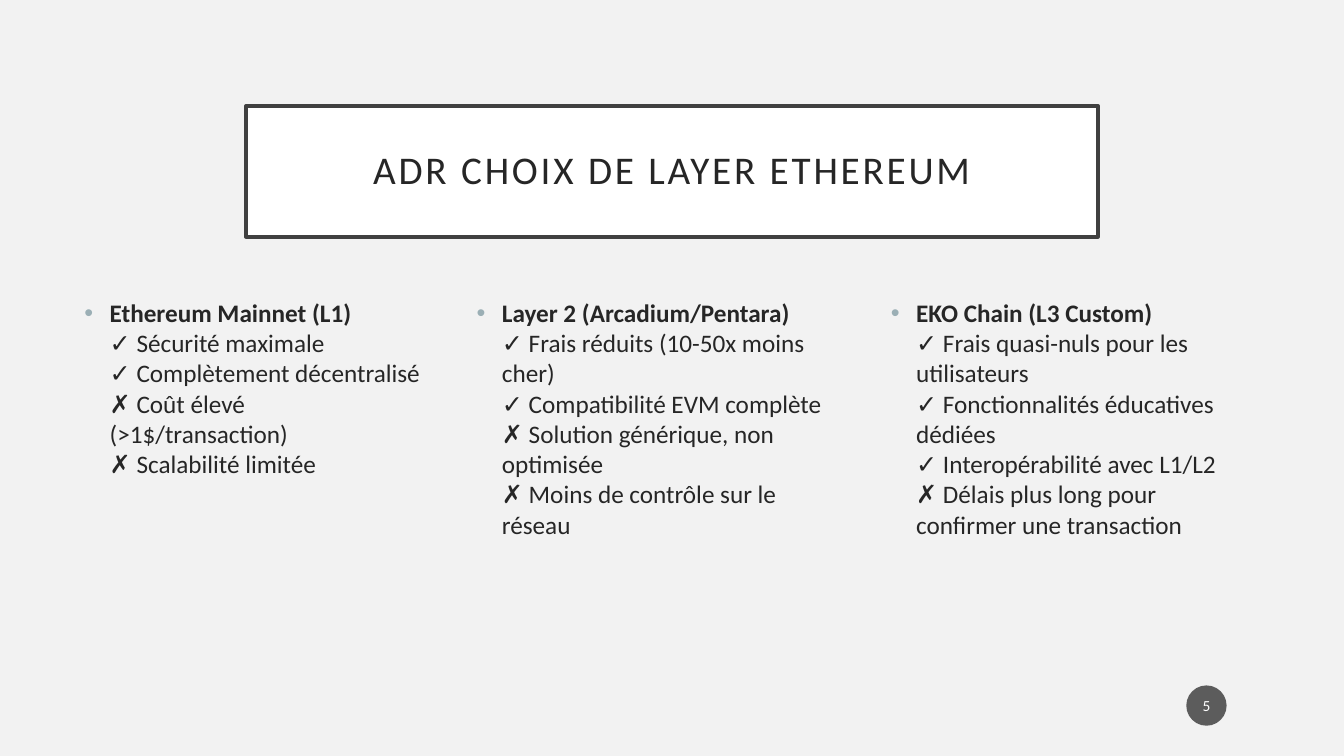
from lxml import etree
from pptx import Presentation
from pptx.dml.color import RGBColor
from pptx.enum.shapes import MSO_SHAPE
from pptx.enum.text import MSO_ANCHOR, MSO_AUTO_SIZE, PP_ALIGN
from pptx.oxml.ns import qn
from pptx.util import Pt

OVAL = MSO_SHAPE.OVAL
MIDDLE = MSO_ANCHOR.MIDDLE
CENTER = PP_ALIGN.CENTER
NO_AUTOFIT = MSO_AUTO_SIZE.NONE
TITLE_ONLY = 5

BACKGROUND = RGBColor(0xF2, 0xF2, 0xF2)
WHITE = RGBColor(0xFF, 0xFF, 0xFF)
FRAME = RGBColor(0x40, 0x40, 0x40)
INK = RGBColor(0x26, 0x26, 0x26)
BADGE = RGBColor(0x1D, 0x1D, 0x1D)
BULLET = RGBColor(0x9B, 0xAF, 0xB5)
FONT = "Calibri"

COLUMN_TOP = 208.8
COLUMN_HEIGHT = 244
COLUMNS = [
    (53.3, 257, "Ethereum Mainnet (L1)", [
        "✓ Sécurité maximale",
        "✓ Complètement décentralisé",
        "✗ Coût élevé (>1$/transaction)",
        "✗ Scalabilité limitée",
    ]),
    (333.4, 277.2, "Layer 2 (Arcadium/Pentara)", [
        "✓ Frais réduits (10-50x moins cher)",
        "✓ Compatibilité EVM complète",
        "✗ Solution générique, non optimisée",
        "✗ Moins de contrôle sur le réseau",
    ]),
    (629.3, 277.2, "EKO Chain (L3 Custom)", [
        "✓ Frais quasi-nuls pour les utilisateurs",
        "✓ Fonctionnalités éducatives dédiées",
        "✓ Interopérabilité avec L1/L2",
        "✗ Délais plus long pour confirmer une transaction",
    ]),
]


def style_span(span, size, color, bold=False):
    """Set the font of one run."""
    span.font.name = FONT
    span.font.size = Pt(size)
    span.font.bold = bold
    span.font.color.rgb = color


def set_margins(frame, horizontal, vertical):
    """Set the insets of a text frame."""
    frame.margin_left = frame.margin_right = Pt(horizontal)
    frame.margin_top = frame.margin_bottom = Pt(vertical)


def add_bullet(para):
    """Give a paragraph a coloured hanging bullet."""
    properties = para._p.get_or_add_pPr()
    properties.set("marL", str(Pt(18)))
    properties.set("indent", str(-Pt(18)))
    color = etree.SubElement(properties, qn("a:buClr"))
    etree.SubElement(color, qn("a:srgbClr"), val=str(BULLET))
    etree.SubElement(properties, qn("a:buFont"), typeface="Arial")
    etree.SubElement(properties, qn("a:buChar"), char="•")


def format_title(page, text):
    """Fill and frame the title placeholder."""
    title = page.shapes.title
    title.left, title.top = Pt(175.7), Pt(75.6)
    title.width, title.height = Pt(608.6), Pt(93.6)
    title.fill.solid()
    title.fill.fore_color.rgb = WHITE
    title.line.color.rgb = FRAME
    title.line.width = Pt(2.5)
    frame = title.text_frame
    frame.text = text
    frame.word_wrap = True
    frame.auto_size = NO_AUTOFIT
    frame.vertical_anchor = MIDDLE
    set_margins(frame, 14.4, 14.4)
    para = frame.paragraphs[0]
    para.alignment = CENTER
    para.line_spacing = 0.9
    span = para.runs[0]
    style_span(span, 28, INK)
    span.font._element.set("spc", "200")


def add_option(page, left, width, heading, points):
    """Add one column with a bold heading and its pros and cons."""
    box = page.shapes.add_textbox(
        Pt(left), Pt(COLUMN_TOP), Pt(width), Pt(COLUMN_HEIGHT))
    frame = box.text_frame
    frame.word_wrap = True
    para = frame.paragraphs[0]
    para.text = "\v".join([heading, *points])
    para.space_before = Pt(10)
    add_bullet(para)
    for index, span in enumerate(para.runs):
        style_span(span, 18, INK, bold=index == 0)


def add_page_number(page, number):
    """Add the translucent round page number."""
    badge = page.shapes.add_shape(OVAL, Pt(847.4), Pt(489.6), Pt(28.8), Pt(28.8))
    badge.shadow.inherit = False
    badge.line.fill.background()
    badge.fill.solid()
    badge.fill.fore_color.rgb = BADGE
    color = badge._element.spPr.find(f"{qn('a:solidFill')}/{qn('a:srgbClr')}")
    etree.SubElement(color, qn("a:alpha"), val="70000")
    frame = badge.text_frame
    frame.text = number
    frame.vertical_anchor = MIDDLE
    set_margins(frame, 1.4, 3.6)
    para = frame.paragraphs[0]
    para.alignment = CENTER
    style_span(para.runs[0], 11, WHITE)


def main():
    """Build the slide and save it."""
    deck = Presentation()
    deck.slide_width, deck.slide_height = Pt(960), Pt(540)
    page = deck.slides.add_slide(deck.slide_layouts[TITLE_ONLY])
    page.background.fill.solid()
    page.background.fill.fore_color.rgb = BACKGROUND
    format_title(page, "ADR CHOIX DE LAYER ETHEREUM")
    for column in COLUMNS:
        add_option(page, *column)
    add_page_number(page, "5")
    deck.save("out.pptx")


if __name__ == "__main__":
    main()
